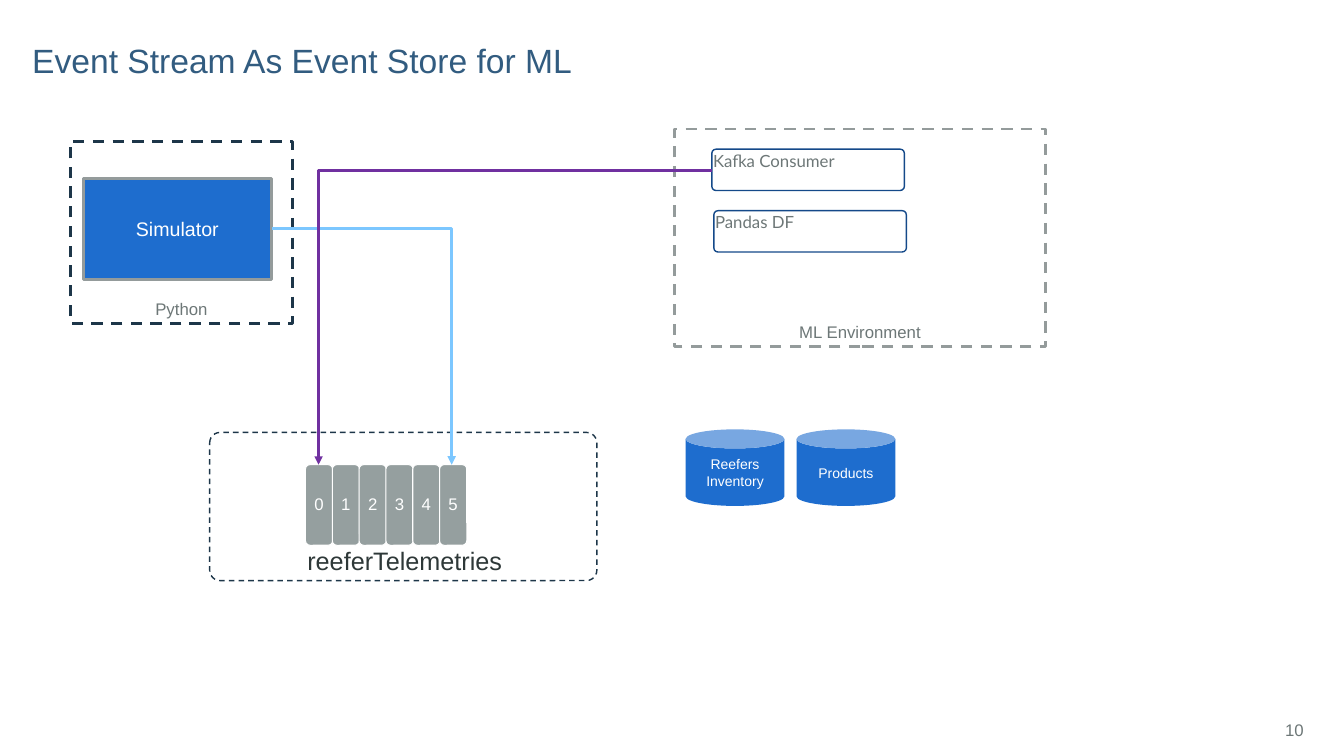
from pptx import Presentation
from pptx import util as u
from pptx.dml import color
from pptx.enum import dml, shapes, text
from pptx.oxml import ns
from lxml import etree

HUES = {
    "title": "325C80", "gray": "6D7777", "frame": "949B9B", "navy": "1D3649",
    "blue": "1E6DCE", "slot": "959F9F", "ink": "2E3838", "edge": "144989",
    "sky": "7CC7FF", "plum": "7030A0", "white": "FFFFFF",
}
KIND = shapes.MSO_SHAPE
SIDE = text.PP_ALIGN
HOLD = text.MSO_ANCHOR
PAD = (1, 0.5, 1, 0.5)
FLAT = (0, 0, 0, 0)


class Deck:
    """Holds the style and the slide, on a grid of ten cells to the inch."""

    def __init__(self, cols, rows):
        self.deck = Presentation()
        self.deck.slide_width = self.cell(cols)
        self.deck.slide_height = self.cell(rows)
        self.slide = self.deck.slides.add_slide(self.deck.slide_layouts[6])
        self.items = self.slide.shapes

    def cell(self, count):
        return u.Inches(count / 10)

    def hue(self, name):
        return color.RGBColor.from_string(HUES[name])

    def letter(self, item, words, size, ink, font="Arial", side=SIDE.CENTER,
               hold=HOLD.MIDDLE, pad=PAD, space=None, wrap=True):
        frame = item.text_frame
        frame.word_wrap = wrap
        frame.vertical_anchor = hold
        (frame.margin_left, frame.margin_top,
         frame.margin_right, frame.margin_bottom) = map(self.cell, pad)
        para = frame.paragraphs[0]
        para.alignment = side
        if space:
            para.line_spacing = space
        run = para.add_run()
        run.text = words
        run.font.size = u.Pt(size)
        run.font.name = font
        run.font.color.rgb = self.hue(ink)

    def label(self, place, words, size, ink, **style):
        item = self.items.add_textbox(*map(self.cell, place))
        self.letter(item, words, size, ink, **style)

    def shape(self, kind, place, fill=None, line=None, width=1, dash=False, curve=None):
        item = self.items.add_shape(kind, *map(self.cell, place))
        item.shadow.inherit = False
        if curve:
            item.adjustments[0] = curve
        if fill:
            item.fill.solid()
            item.fill.fore_color.rgb = self.hue(fill)
        else:
            item.fill.background()
        if line:
            item.line.color.rgb = self.hue(line)
            item.line.width = u.Pt(width)
            if dash:
                item.line.dash_style = dml.MSO_LINE.DASH
        else:
            item.line.fill.background()
        return item

    def zone(self, place, line, words):
        item = self.shape(KIND.RECTANGLE, place, line=line, width=2, dash=True)
        self.letter(item, words, 12, "gray", hold=HOLD.BOTTOM)

    def slot(self, place, words):
        item = self.shape(KIND.ROUNDED_RECTANGLE, place, "slot", "white", 0.75)
        self.letter(item, words, 12, "white", pad=FLAT, space=0.9)

    def card(self, place, words):
        item = self.shape(KIND.ROUNDED_RECTANGLE, place, line="edge", curve=0.1)
        self.letter(item, words, 12, "gray", font="Lato", side=SIDE.LEFT,
                    hold=HOLD.TOP, pad=FLAT)

    def store(self, place, words):
        item = self.shape(KIND.CAN, place, "blue")
        self.letter(item, words, 10, "white")

    def arrow(self, ends, hue):
        item = self.items.add_connector(shapes.MSO_CONNECTOR.ELBOW, *map(self.cell, ends))
        item.line.color.rgb = self.hue(hue)
        item.line.width = u.Pt(2)
        props = item._element.spPr
        props.find(ns.qn("a:prstGeom")).set("prst", "bentConnector2")
        tail = etree.SubElement(props.find(ns.qn("a:ln")), ns.qn("a:tailEnd"))
        tail.set("type", "triangle")
        etree.SubElement(props, ns.qn("a:effectLst"))


def main():
    page = Deck(133.3, 75)
    page.label((3.2, 2.3, 115, 5.7), "Event Stream As Event Store for ML", 24, "title",
               side=SIDE.LEFT, hold=HOLD.BOTTOM, pad=(0, 0.5, 1, 0), space=0.85)
    page.label((124.5, 70.4, 5.8, 4), "10", 12, "gray", side=SIDE.RIGHT)

    page.zone((66.9, 12.8, 36.8, 21.6), "frame", "ML Environment")
    page.zone((7, 14, 22, 18.1), "navy", "Python")
    model = page.shape(KIND.RECTANGLE, (8.3, 17.7, 18.6, 10), "blue", "frame", 2)
    page.letter(model, "Simulator", 14, "white")

    for part in range(6):
        page.slot((30.3 + 2.66 * part, 46.1, 2.7, 8), str(part))
    page.shape(KIND.ROUNDED_RECTANGLE, (20.8, 42.9, 38.4, 14.7),
               line="navy", dash=True, curve=0.07)
    page.label((29.5, 53.6, 21.5, 4), "reeferTelemetries", 18, "ink",
               side=SIDE.LEFT, hold=HOLD.TOP, wrap=False)

    page.card((70.6, 14.8, 19.1, 4.1), "Kafka Consumer")
    page.card((70.8, 20.9, 19.1, 4.1), "Pandas DF")
    for left, words in ((68, "Reefers Inventory"), (79, "Products")):
        page.store((left, 42.6, 9.8, 7.6), words)

    page.arrow((27, 22.7, 44.8, 46.1), "sky")
    page.arrow((70.6, 16.9, 31.6, 46.1), "plum")
    page.deck.save("out.pptx")


if __name__ == "__main__":
    main()
